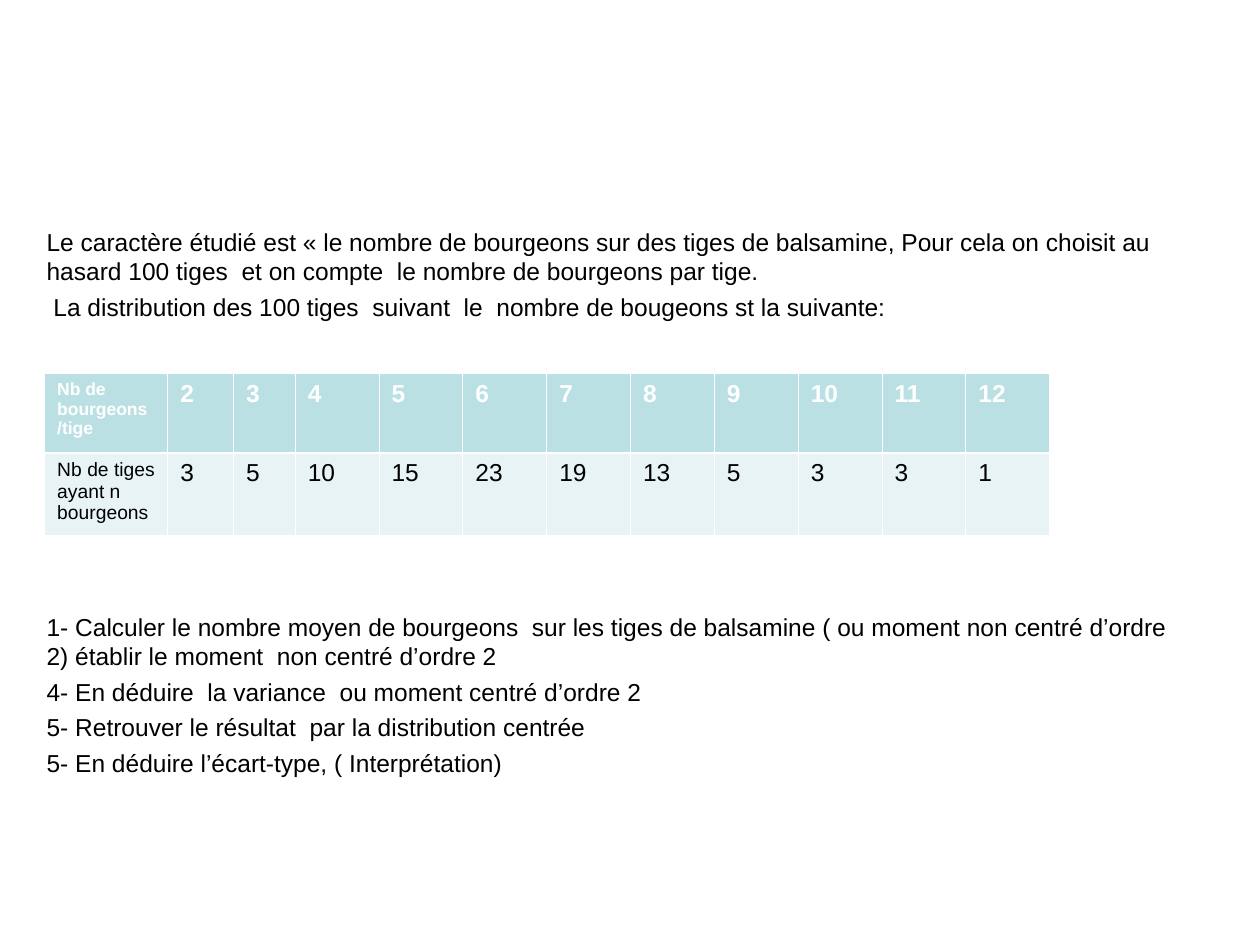
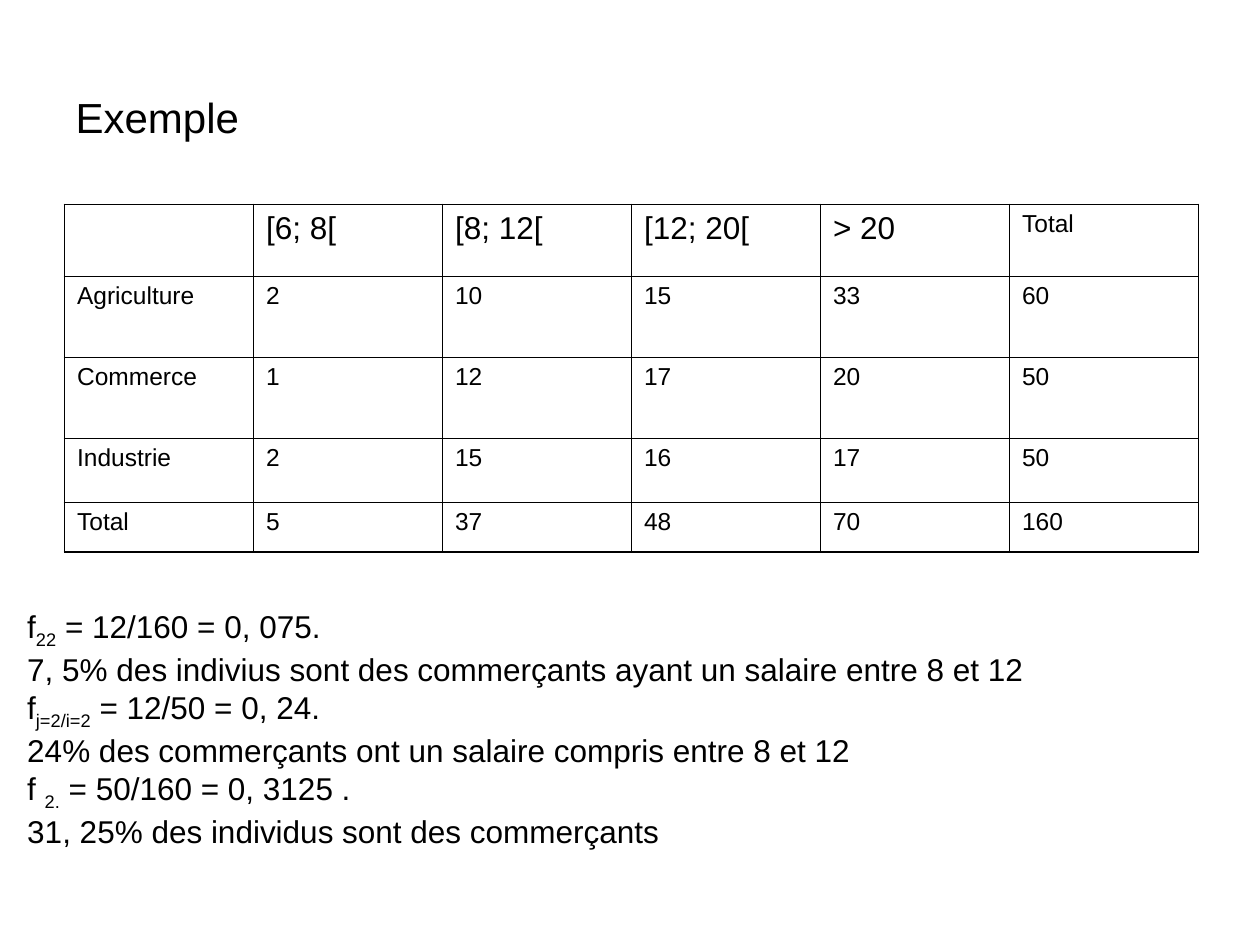
from lxml import etree
from pptx import Presentation
from pptx.dml.color import RGBColor
from pptx.enum.text import MSO_ANCHOR, PP_ALIGN
from pptx.oxml.ns import qn
from pptx.util import Cm, Pt

LEFT = PP_ALIGN.LEFT
MIDDLE = MSO_ANCHOR.MIDDLE
TITLE_ONLY, BLANK = 5, 6

BLACK, WHITE = "000000", "FFFFFF"
HEADER_FILL, BODY_FILL = "BBE0E3", "E7F3F4"
BODY = {"name": "Arial", "size": Pt(14), "bold": False}
LARGE = {**BODY, "size": Pt(18)}
HEADING = {**BODY, "size": Pt(24)}
THIN, OUTER, RULE = 0.45, 1.08, 1.47

INTRO = [
    "Le caractère étudié est « le nombre de bourgeons sur des tiges de balsamine, "
    "Pour cela on choisit au hasard 100 tiges  et on compte  le nombre de bourgeons par tige.",
    " La distribution des 100 tiges  suivant  le  nombre de bougeons st la suivante:",
]
QUESTIONS = [
    "1- Calculer le nombre moyen de bourgeons  sur les tiges de balsamine "
    "( ou moment non centré d’ordre 2) établir le moment  non centré d’ordre 2",
    "4- En déduire  la variance  ou moment centré d’ordre 2",
    "5- Retrouver le résultat  par la distribution centrée",
    "5- En déduire l’écart-type, ( Interprétation)",
]
BUDS = [
    ["Nb de bourgeons /tige", *range(2, 13)],
    ["Nb de tiges ayant n bourgeons", 3, 5, 10, 15, 23, 19, 13, 5, 3, 3, 1],
]
SALARIES = [
    ["", "[6; 8[", "[8; 12[", "[12; 20[", "> 20", "Total"],
    ["Agriculture", 2, 10, 15, 33, 60],
    ["Commerce", 1, 12, 17, 20, 50],
    ["Industrie", 2, 15, 16, 17, 50],
    ["Total", 5, 37, 48, 70, 160],
]
FREQUENCIES = [
    ("f", "22", " = 12/160 = 0, 075."),
    "7, 5% des indivius sont des commerçants ayant un salaire entre 8 et 12",
    ("f", "j=2/i=2", " = 12/50 = 0, 24."),
    "24% des commerçants ont un salaire compris entre 8 et 12",
    ("f ", "2.", " = 50/160 = 0, 3125 ."),
    "31, 25% des individus sont des commerçants",
]


def rgb(value):
    return RGBColor.from_string(value)


def format_font(font, style, color=BLACK):
    for attribute, value in style.items():
        setattr(font, attribute, value)
    font.color.rgb = rgb(color)


def write_line(paragraph, line, style, color=BLACK):
    paragraph.alignment = LEFT
    parts = (line,) if isinstance(line, str) else line
    for position, part in enumerate(parts):
        run = paragraph.add_run()
        run.text = part
        format_font(run.font, style, color)
        if position == 1:
            run.font._element.set("baseline", "-25000")


def add_text(slide, left, top, width, height, lines, style, gap=0):
    frame = slide.shapes.add_textbox(Cm(left), Cm(top), Cm(width), Cm(height)).text_frame
    frame.word_wrap = True
    for index, line in enumerate(lines):
        paragraph = frame.add_paragraph() if index else frame.paragraphs[0]
        if index:
            paragraph.space_before = Pt(gap)
        write_line(paragraph, line, style)


def add_title(slide, text):
    title = slide.shapes.title
    title.left, title.top, title.width, title.height = Cm(1.27), Cm(0.76), Cm(22.86), Cm(3.18)
    title.text_frame.vertical_anchor = MIDDLE
    write_line(title.text_frame.paragraphs[0], text, HEADING)


def set_borders(cell, color, widths):
    properties = cell._tc.get_or_add_tcPr()
    for side, width in zip("LRTB", widths):
        line = etree.SubElement(properties, qn(f"a:ln{side}"), w=str(Pt(width)))
        fill = etree.SubElement(line, qn("a:solidFill"))
        etree.SubElement(fill, qn("a:srgbClr"), val=color)


def add_grid(slide, left, top, widths, heights, rows, format_cell):
    table = slide.shapes.add_table(
        len(rows), len(widths), Cm(left), Cm(top), Cm(sum(widths)), Cm(sum(heights))
    ).table
    table.first_row = table.horz_banding = False
    for column, width in zip(table.columns, widths):
        column.width = Cm(width)
    for row, height in zip(table.rows, heights):
        row.height = Cm(height)
    for r, values in enumerate(rows):
        for c, value in enumerate(values):
            cell = table.cell(r, c)
            style, color = format_cell(cell, r, c)
            if value != "":
                write_line(cell.text_frame.paragraphs[0], str(value), style, color)


def format_bud_cell(cell, r, c):
    header = r == 0
    set_borders(cell, WHITE, (THIN, THIN, THIN, RULE) if header else (THIN, THIN, RULE, THIN))
    cell.fill.solid()
    cell.fill.fore_color.rgb = rgb(HEADER_FILL if header else BODY_FILL)
    label_size = 10 if header else 11
    style = {**BODY, "size": Pt(14 if c else label_size), "bold": header}
    return style, WHITE if header else BLACK


def format_salary_cell(cell, r, c):
    last_row, last_column = len(SALARIES) - 1, len(SALARIES[0]) - 1
    on_edge = (c == 0, c == last_column, r == 0, r == last_row)
    set_borders(cell, BLACK, [OUTER if edge else THIN for edge in on_edge])
    cell.fill.background()
    return LARGE if r == 0 and c < last_column else BODY, BLACK


def build_buds(deck):
    slide = deck.slides.add_slide(deck.slide_layouts[BLANK])
    add_text(slide, 0.69, 4.45, 23.22, 2.2, INTRO, BODY, 3.5)
    add_grid(slide, 0.9, 7.53, [2.48, 1.33, 1.24] + [1.69] * 9, [1.6, 1.65],
             BUDS, format_bud_cell)
    add_text(slide, 0.69, 12.21, 23.22, 3.6, QUESTIONS, BODY, 3.5)


def build_salaries(deck):
    slide = deck.slides.add_slide(deck.slide_layouts[TITLE_ONLY])
    add_title(slide, "Exemple")
    add_grid(slide, 1.3, 4.12, [3.81] * 6, [1.45, 1.63, 1.63, 1.29, 1.01],
             SALARIES, format_salary_cell)
    add_text(slide, 0.3, 12.12, 24.61, 5.16, FREQUENCIES, LARGE)


def main():
    deck = Presentation()
    deck.slide_width, deck.slide_height = Cm(25.4), Cm(19.05)
    build_buds(deck)
    build_salaries(deck)
    deck.save("out.pptx")


if __name__ == "__main__":
    main()
